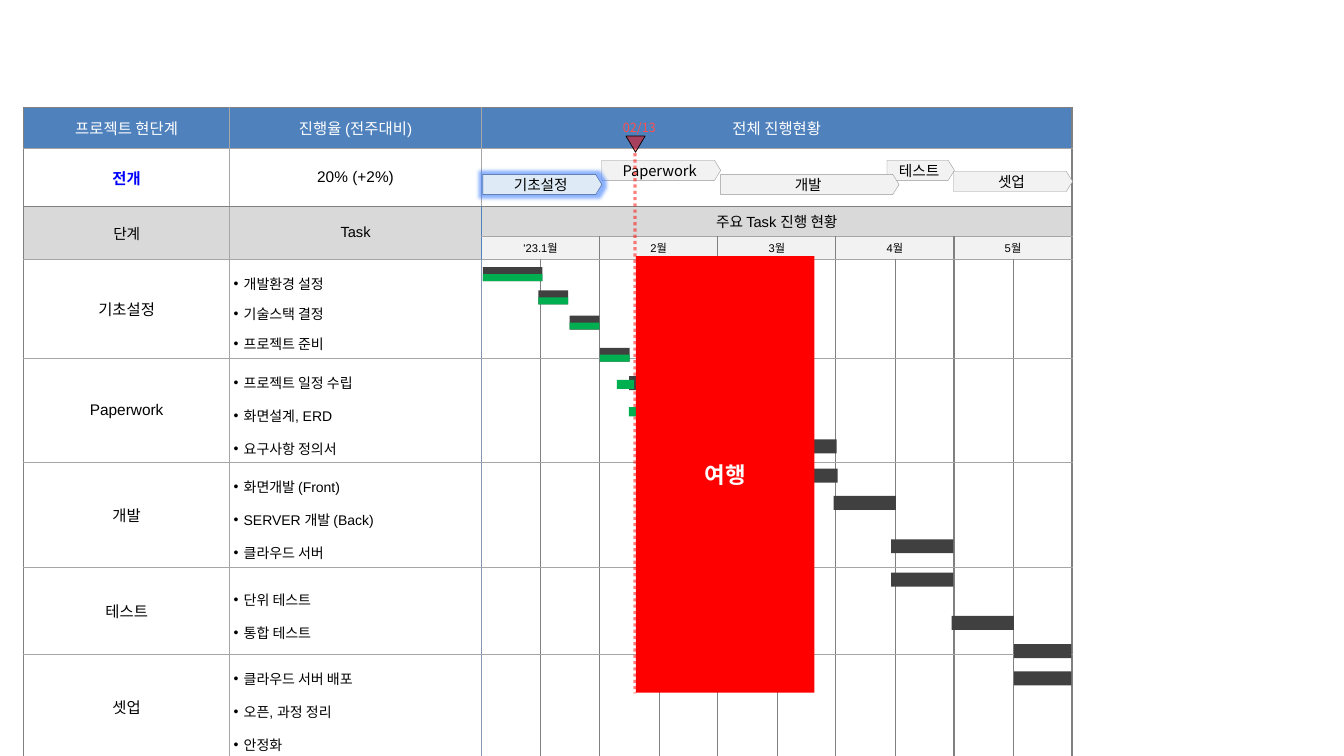
from lxml.etree import SubElement
from pptx import Presentation
from pptx.dml.color import RGBColor
from pptx.enum.dml import MSO_LINE
from pptx.enum.shapes import MSO_CONNECTOR, MSO_SHAPE as SHAPE
from pptx.enum.text import MSO_ANCHOR as ANCHOR, MSO_AUTO_SIZE as AUTO, PP_ALIGN as ALIGN
from pptx.oxml.ns import qn
from pptx.util import Pt

SANS, KOREAN = "Arial", "Noto Sans CJK KR"
COLS = [147, 180] + [42.2] * 10
ROWS = [28.8, 41.8, 18.7, 16.6, 61.2, 61.2, 64.8, 62.6, 61.2]
HEADS = ["프로젝트 현단계", "진행율 (전주대비)", "전체 진행현황"]
MONTHS = ["'23.1월", "2월", "3월", "4월", "5월"]
STAGES = [
    ("기초설정", ["개발환경 설정", "기술스택 결정", "프로젝트 준비"]),
    ("Paperwork", ["프로젝트 일정 수립", "화면설계, ERD", "요구사항 정의서"]),
    ("개발", ["화면개발 (Front)", "SERVER 개발 (Back)", "클라우드 서버"]),
    ("테스트", ["단위 테스트", "통합 테스트"]),
    ("셋업", ["클라우드 서버 배포", "오픈, 과정 정리", "안정화"]),
]
# Name, left, top, width
PHASES = [
    ("Paperwork", 85.8, 8.5, 85), ("기초설정", 0.9, 18.6, 85),
    ("테스트", 289.6, 8.5, 48.2), ("개발", 170.8, 18.6, 127.4),
    ("셋업", 337.1, 16.4, 85),
]
# Left, top, width
PLAN = [
    (0.9, 6.8, 42.5), (40.5, 23.4, 21.3), (62.8, 41.4, 21.3), (84.4, 64.4, 21.3),
    (105.3, 84.6, 42.5), (168.6, 129.9, 85), (169.4, 150.8, 85),
    (251.4, 170.2, 44.6), (292.5, 201.2, 44.6), (292.5, 225, 44.6),
    (335.7, 255.9, 44.6), (380.3, 276.1, 41), (380.3, 295.5, 41),
]
DONE = [(96.6, 87.4, 12.2), (105.3, 106.9, 12.2)]


def color(code):
    """Turn a hex string into a colour."""
    return RGBColor.from_string(code)


def fade(fill, share):
    """Set the opacity of a solid a:solidFill, in percent."""
    SubElement(fill[0], qn("a:alpha"), val=str(share * 1000))


def write(para, text, size, code="000000", font=SANS, bold=False, align=ALIGN.CENTER):
    """Fill and format one paragraph."""
    para.text, para.alignment = text, align
    para.font.size, para.font.name, para.font.bold = Pt(size), font, bold
    para.font.color.rgb = color(code)


def draw(shapes, kind, box, fill, line=None, width=0.25):
    """Add a flat shape to the given box."""
    shape = shapes.add_shape(kind, *map(Pt, box))
    shape.shadow.inherit = False
    shape.fill.solid()
    shape.fill.fore_color.rgb = color(fill)
    if line:
        shape.line.color.rgb = color(line)
        shape.line.width = Pt(width)
    else:
        shape.line.fill.background()
    return shape


def label(shape, *args, **style):
    """Write centred text inside a shape without insets."""
    frame = shape.text_frame
    frame.margin_left = frame.margin_right = frame.margin_top = frame.margin_bottom = 0
    frame.vertical_anchor, frame.word_wrap = ANCHOR.MIDDLE, False
    write(frame.paragraphs[0], *args, **style)


def rule(row, edge):
    """Give colour and width of a vertical cell border."""
    if edge == 1 or edge == 2 and row < 2:
        return "A6A6A6", 0.25
    if edge == 2:
        return ("4F81BD" if row < 4 else "8497B0"), 1.5
    return "808080", (0.25 if edge % 2 and edge > 2 else 1)


def level(edge):
    """Give colour and width of a horizontal cell border."""
    return ("808080", 1) if edge in (0, 2) else ("A6A6A6", 0.25)


def frame_cell(cell, row, col):
    """Set the four borders of a cell, merged or not."""
    wide = cell.span_width if cell.is_merge_origin else 1
    tall = cell.span_height if cell.is_merge_origin else 1
    sides = {"lnL": rule(row, col), "lnR": rule(row, col + wide),
             "lnT": level(row), "lnB": level(row + tall)}
    props = cell._tc.get_or_add_tcPr()
    for spot, (tag, (code, width)) in enumerate(sides.items()):
        line = props.makeelement(qn("a:" + tag), {"w": str(Pt(width))})
        SubElement(SubElement(line, qn("a:solidFill")), qn("a:srgbClr"), val=code)
        props.insert(spot, line)


def list_tasks(cell, tasks, gap):
    """Write the bulleted tasks of one stage."""
    frame = cell.text_frame
    for spot, task in enumerate(tasks):
        para = frame.add_paragraph() if spot else frame.paragraphs[0]
        write(para, task, 10, align=ALIGN.LEFT)
        para.line_spacing, para.space_before = 1.5, Pt(gap)
        props = para._p.get_or_add_pPr()
        props.set("marL", str(Pt(7.2)))
        props.set("indent", str(-Pt(7.2)))
        SubElement(props, qn("a:buFont"), typeface=SANS)
        bullet = SubElement(props, qn("a:buChar"), char="•")
        # Bullets must come before the default run properties
        last = props.find(qn("a:defRPr"))
        if last is not None:
            props.remove(last)
            bullet.addnext(last)


def add_plan(shapes, left, top):
    """Add the status table with its month grid."""
    size = map(Pt, (left, top, sum(COLS), sum(ROWS)))
    table = shapes.add_table(len(ROWS), len(COLS), *size).table
    table.first_row = table.horz_banding = False
    for col, width in zip(table.columns, COLS):
        col.width = Pt(width)
    for row, height in zip(table.rows, ROWS):
        row.height = Pt(height)
    cell = table.cell
    for row in range(3):
        cell(row, 2).merge(cell(row, 11))
    for col in range(2):
        cell(2, col).merge(cell(3, col))
    for col in range(2, 12, 2):
        cell(3, col).merge(cell(3, col + 1))

    fills = ["4F81BD", "FFFFFF", "D9D9D9", "F2F2F2"] + ["FFFFFF"] * len(STAGES)
    for row, fill in enumerate(fills):
        for col in range(len(COLS)):
            item = cell(row, col)
            pad = Pt(0 if row == 3 else 2.9)
            item.margin_left = item.margin_right = pad
            item.margin_top = item.margin_bottom = pad
            item.vertical_anchor = ANCHOR.MIDDLE
            item.fill.solid()
            item.fill.fore_color.rgb = color(fill)
            item.text_frame.paragraphs[0].font.size = Pt(8)
            if not item.is_spanned:
                frame_cell(item, row, col)

    def put(row, col, *args, **style):
        """Write one centred cell."""
        write(cell(row, col).text_frame.paragraphs[0], *args, **style)

    for col, head in enumerate(HEADS):
        put(0, col, head, 11, "FFFFFF")
    put(1, 0, "전개", 11, "0000FF", bold=True)
    put(1, 1, "20% (+2%)", 11)
    for col, head in enumerate(["단계", "Task", "주요 Task 진행 현황"]):
        put(2, col, head, 10.5)
    for spot, month in enumerate(MONTHS):
        put(3, 2 + 2 * spot, month, 8)
    for row, (stage, tasks) in enumerate(STAGES, 4):
        put(row, 0, stage, 11)
        list_tasks(cell(row, 1), tasks, 0 if row == 4 else 2)


def add_phases(shapes, left, top):
    """Add the phase arrows; the first phase glows."""
    for name, x, y, width in PHASES:
        now = name == "기초설정"
        look = ("DEEBF7", "325491") if now else ("F2F2F2", "969696")
        arrow = draw(shapes, SHAPE.PENTAGON, (left + x, top + y, width, 14.4), *look)
        arrow.adjustments[0] = 0.31
        label(arrow, name, 10.5, font=SANS if now else KOREAN)
        if now:
            effects = arrow._element.spPr.find(qn("a:effectLst"))
            glow = SubElement(effects, qn("a:glow"), rad=str(Pt(5)))
            tint = SubElement(glow, qn("a:srgbClr"), val="4080FF")
            SubElement(tint, qn("a:alpha"), val="60000")


def add_today(shapes, left, top):
    """Add the date marker with its dotted line."""
    group = shapes.add_group_shape().shapes
    x = left + 15.8
    line = group.add_connector(MSO_CONNECTOR.STRAIGHT, *map(Pt, (x, top + 27.4, x, top + 413.3)))
    line.line.color.rgb, line.line.width = color("FF0000"), Pt(2.25)
    line.line.dash_style = MSO_LINE.ROUND_DOT
    props = line._element.spPr
    fade(props.find(qn("a:ln")).find(qn("a:solidFill")), 50)
    SubElement(props, qn("a:effectLst"))
    mark = draw(group, SHAPE.ISOSCELES_TRIANGLE, (left + 9.3, top + 15.2, 13.7, 11.5),
                "FF0000", "000000", 0.5)
    mark.rotation = 180
    fade(mark._element.spPr.find(qn("a:solidFill")), 50)
    frame = group.add_textbox(*map(Pt, (left, top, 41.8, 18))).text_frame
    frame.auto_size, frame.word_wrap = AUTO.SHAPE_TO_FIT_TEXT, False
    write(frame.paragraphs[0], "02/13", 9, "FF5050", KOREAN, align=ALIGN.LEFT)


def add_bars(shapes, left, top):
    """Add planned bars, finished bars and the travel block."""
    bars = [(*bar, 10, "404040") for bar in PLAN]
    bars += [(x, y + 5, width, 5, "00B050") for x, y, width in PLAN[:4]]
    bars += [(*bar, 6.5, "00B050") for bar in DONE]
    for x, y, width, height, fill in bars:
        draw(shapes, SHAPE.RECTANGLE, (left + x, top + y, width, height), fill)
    trip = draw(shapes, SHAPE.RECTANGLE, (left + 110.3, top - 1.1, 127.4, 311.8), "FF0000")
    label(trip, "여행", 16, "FFFFFF", KOREAN, bold=True)


deck = Presentation()
deck.slide_width, deck.slide_height = Pt(960), Pt(540)
shapes = deck.slides.add_slide(deck.slide_layouts[6]).shapes
add_plan(shapes, 17, 77)
add_phases(shapes, 344, 106)
add_today(shapes, 437.8, 82)
add_bars(shapes, 344, 184)
deck.save("out.pptx")
